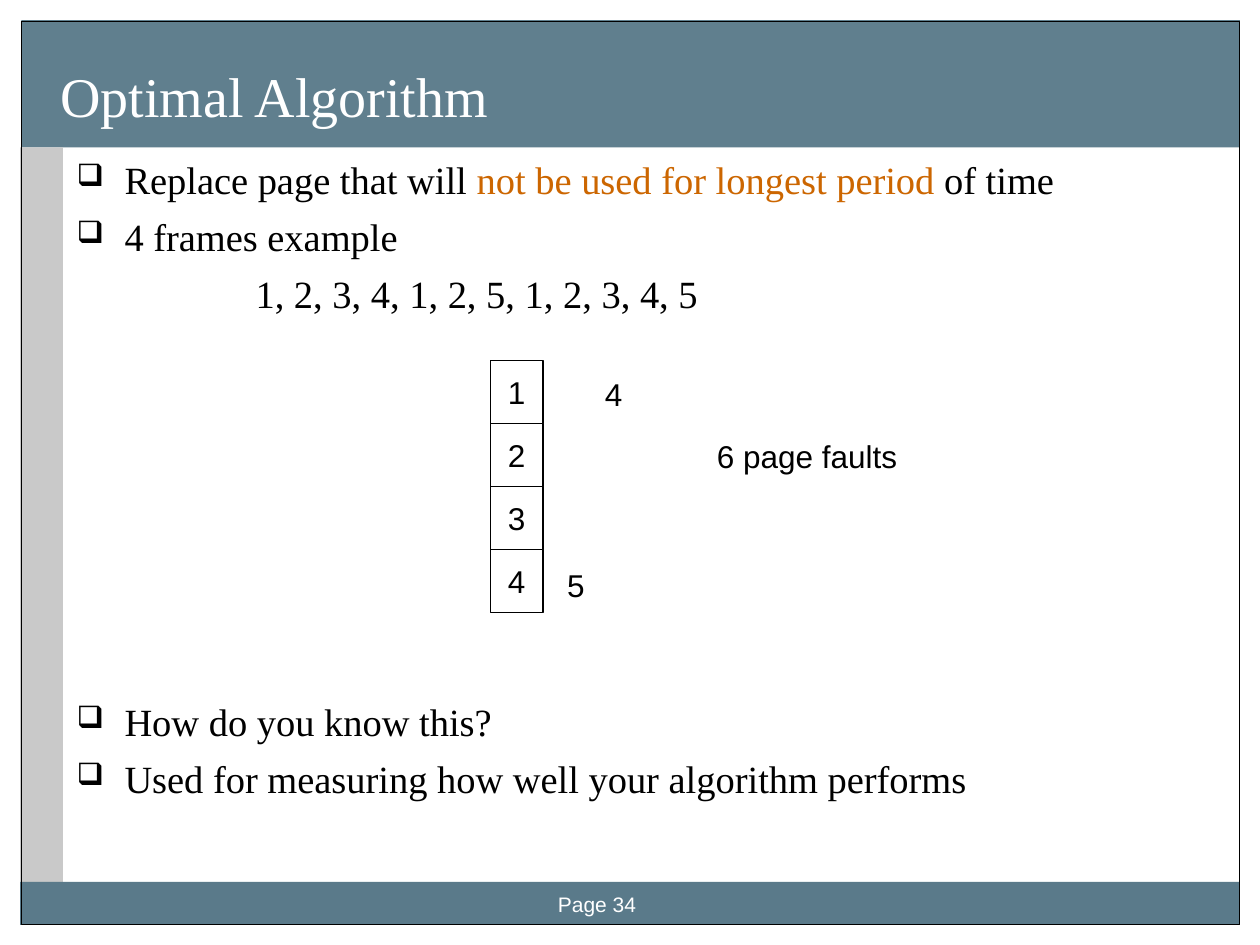
"""Build the Optimal Algorithm page replacement slide."""
import pptx
import pptx.dml.color
import pptx.enum.shapes
import pptx.enum.text
import pptx.oxml.ns
import pptx.util
from lxml import etree

Inches = pptx.util.Inches
Pt = pptx.util.Pt
RGB = pptx.dml.color.RGBColor.from_string
qn = pptx.oxml.ns.qn
ALIGN = pptx.enum.text.PP_ALIGN
ANCHOR = pptx.enum.text.MSO_ANCHOR
COLORS = {"band": "3E6376", "side": "C9C9C9", "black": "000000",
          "white": "FFFFFF", "accent": "CC6600"}


def add_box(s, at, fill=None, line=None, alpha=None):
    sp = s.shapes.add_shape(pptx.enum.shapes.MSO_SHAPE.RECTANGLE,
                            *[Inches(v) for v in at])
    sp.shadow.inherit = False
    if fill:
        sp.fill.solid()
        sp.fill.fore_color.rgb = RGB(COLORS[fill])
    else:
        sp.fill.background()
    if line:
        sp.line.color.rgb = RGB(COLORS[line])
        sp.line.width = Pt(0.75)
    else:
        sp.line.fill.background()
    if alpha:
        clr = sp.fill._xPr.find(".//" + qn("a:srgbClr"))
        etree.SubElement(clr, qn("a:alpha"), val=str(alpha * 1000))
    return sp


def put_text(sp, text, size, font, color, align=ALIGN.LEFT,
             anchor=ANCHOR.MIDDLE, wrap=True):
    tf = sp.text_frame
    tf.word_wrap = wrap
    tf.vertical_anchor = anchor
    tf.text = text
    p = tf.paragraphs[0]
    p.alignment = align
    f = p.runs[0].font
    f.size, f.name = Pt(size), font
    f.color.rgb = RGB(COLORS[color])
    return tf


prs = pptx.Presentation()
prs.slide_width, prs.slide_height = Inches(10), Inches(7.5)
s = prs.slides.add_slide(prs.slide_layouts[6])

add_box(s, (0.17, 0.16, 9.67, 1.01), "band", alpha=82)
add_box(s, (0.16, 1.17, 0.34, 5.83), "side")
add_box(s, (0.16, 7, 9.68, 0.34), "band", alpha=85)
add_box(s, (0.17, 0.17, 9.67, 7.17), line="black")

sp = s.shapes.add_textbox(Inches(4.33), Inches(7.03), Inches(1.5), Inches(0.27))
put_text(sp, "Page 34", 12, "Arial", "white", anchor=ANCHOR.TOP)

sp = s.shapes.add_textbox(Inches(0.18), Inches(0.36), Inches(9.67), Inches(0.79))
tf = put_text(sp, "Optimal Algorithm", 32, "Times New Roman", "white",
              anchor=ANCHOR.BOTTOM)
tf.margin_left, tf.margin_bottom = Inches(0.3), Inches(0.13)

body = [
    ([("Replace page that will ", "black"),
      ("not be used for longest period", "accent"),
      (" of time", "black")], True, 6.3),
    ([("4 frames example", "black")], True, 6.3),
    ([("1, 2, 3, 4, 1, 2, 5, 1, 2, 3, 4, 5", "black")], False, 6.3),
    ([("How do you know this?", "black")], True, 218),
    ([("Used for measuring how well your algorithm performs", "black")], True, 6.3),
]
sp = s.shapes.add_textbox(Inches(0.51), Inches(1.19), Inches(9.25), Inches(5.74))
tf = sp.text_frame
tf.word_wrap = True
for i, (runs, bullet, before) in enumerate(body):
    p = tf.add_paragraph() if i else tf.paragraphs[0]
    p.space_before = Pt(before)
    for text, color in runs:
        r = p.add_run()
        r.text = text
        r.font.size, r.font.name = Pt(22), "Times New Roman"
        r.font.color.rgb = RGB(COLORS[color])
    pPr = p._p.get_or_add_pPr()
    pPr.set("marL", str(Inches(0.38 if bullet else 1.42)))
    pPr.set("indent", str(Inches(-0.38 if bullet else 0)))
    if bullet:
        clr = etree.SubElement(pPr, qn("a:buClr"))
        etree.SubElement(clr, qn("a:srgbClr"), val=COLORS["black"])
        etree.SubElement(pPr, qn("a:buSzPct"), val="80000")
        etree.SubElement(pPr, qn("a:buChar"), char="❑")

for i in range(4):
    sp = add_box(s, (3.89, 2.86 + 0.5 * i, 0.42, 0.5), "white", "black")
    put_text(sp, str(i + 1), 18, "Arial", "black", ALIGN.CENTER, wrap=False)

for text, x, y, w in [("4", 4.7, 2.93, 0.34), ("6 page faults", 5.59, 3.42, 1.63),
                      ("5", 4.4, 4.44, 0.34)]:
    sp = s.shapes.add_textbox(Inches(x), Inches(y), Inches(w), Inches(0.4))
    put_text(sp, text, 18, "Arial", "black", ALIGN.CENTER, wrap=False)

prs.save("out.pptx")
